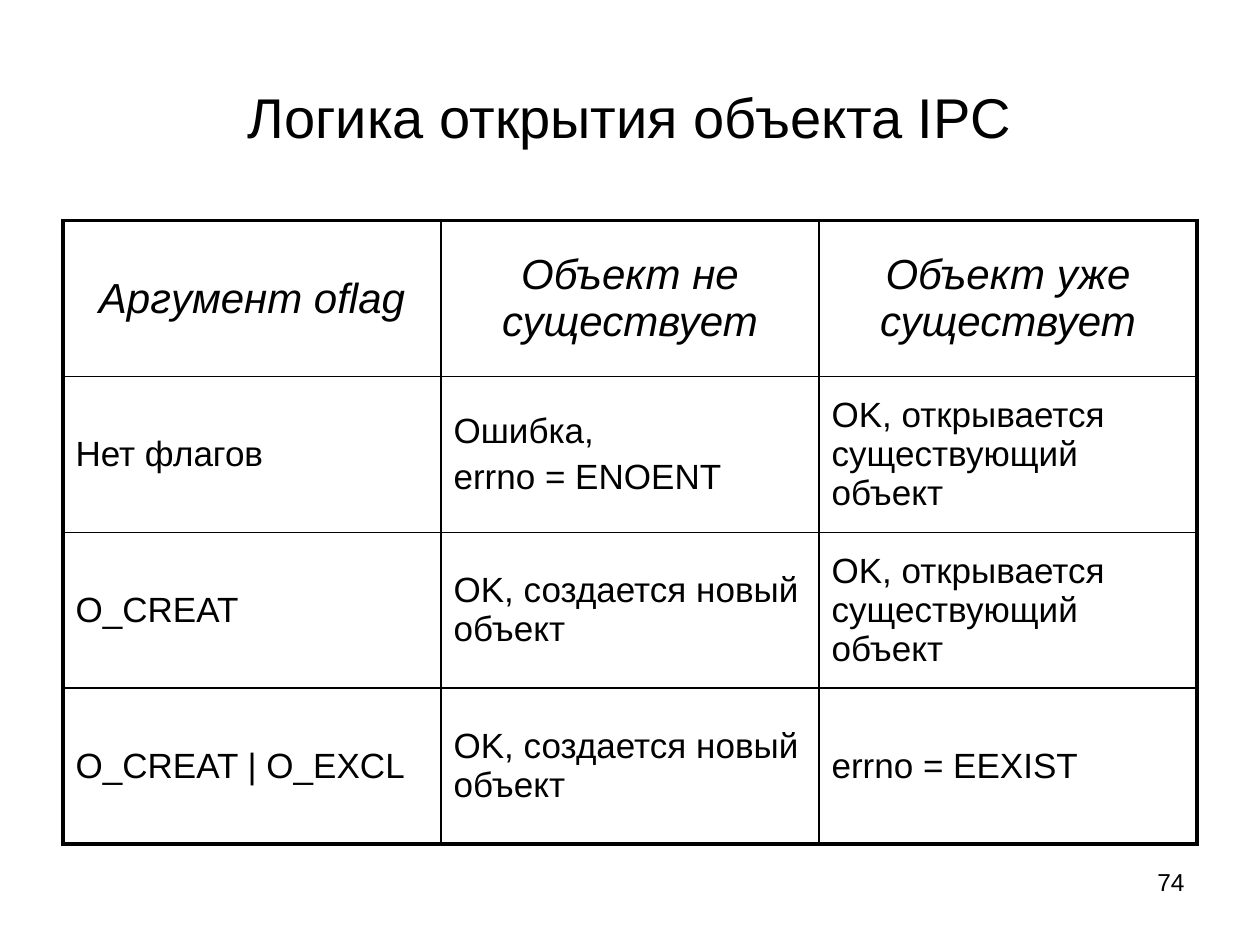
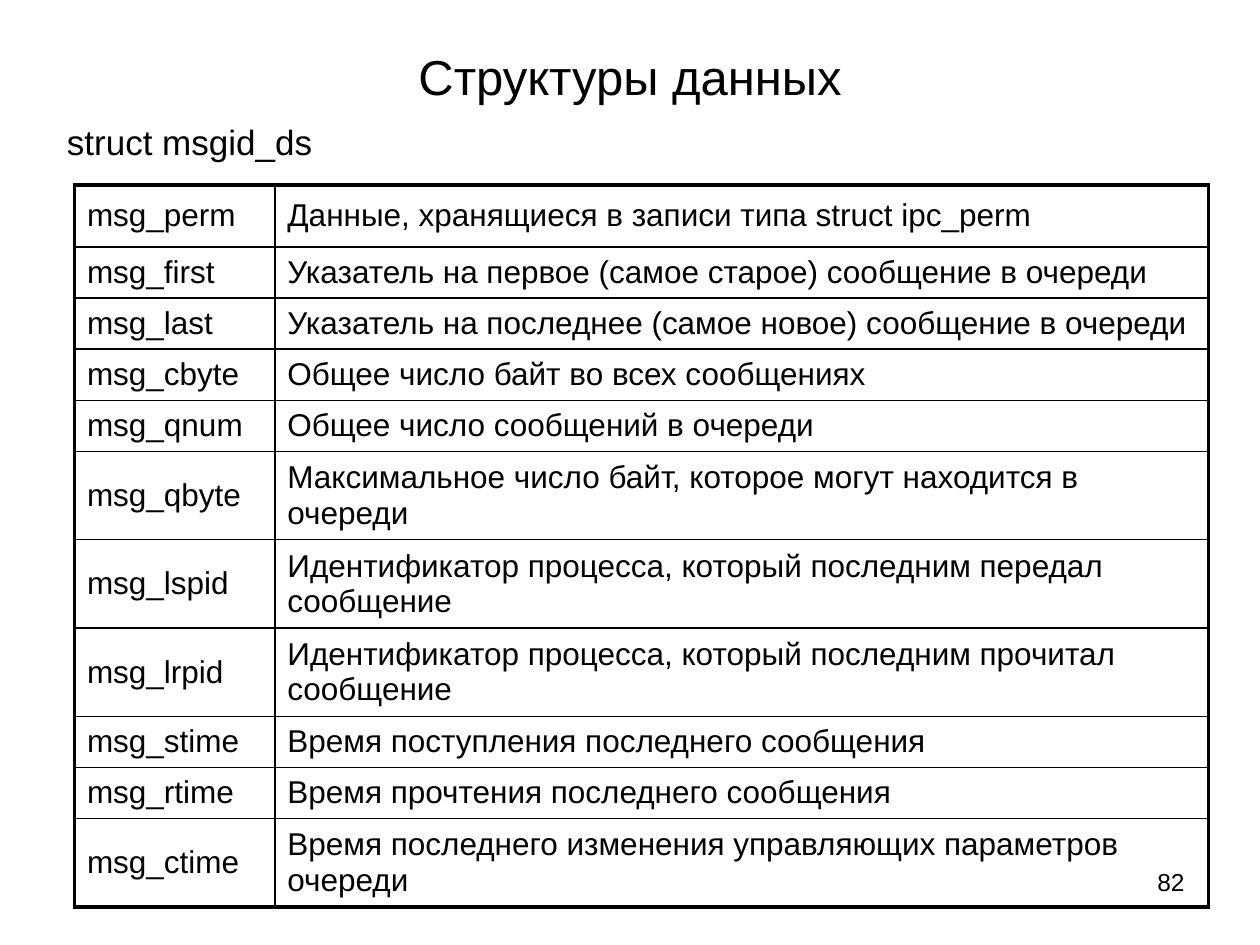
import pptx
import pptx.util
import pptx.dml.color
import pptx.enum.text
import pptx.oxml
import pptx.oxml.ns

Cm, Pt = pptx.util.Cm, pptx.util.Pt
ALIGN = pptx.enum.text.PP_ALIGN
MIDDLE = pptx.enum.text.MSO_ANCHOR.MIDDLE
BLACK = pptx.dml.color.RGBColor(0, 0, 0)
FONT = "Arial"
WIDE = Cm(22.86)
THIN, THICK = Pt(1), Pt(2.25)


def put(frame, text, size, align=ALIGN.LEFT, italic=False):
    """Fill a text frame and format all its paragraphs."""
    frame.text = text
    frame.word_wrap = True
    for num, para in enumerate(frame.paragraphs):
        para.alignment = align
        if num:
            para.space_before = Pt(size * 0.2)
        for run in para.runs:
            run.font.name = FONT
            run.font.size = Pt(size)
            run.font.italic = italic
            run.font.color.rgb = BLACK


def rule(cell, side, width):
    """Draw one border of a table cell."""
    cell._tc.get_or_add_tcPr().append(pptx.oxml.parse_xml(
        f'<a:ln{side} {pptx.oxml.ns.nsdecls("a")} w="{width}">'
        f'<a:solidFill><a:srgbClr val="{BLACK}"/></a:solidFill></a:ln{side}>'))


NEW = "OK, создается новый объект"
OLD = "OK, открывается существующий объект"
FLAGS = [
    ("Аргумент oflag", "Объект не существует", "Объект уже существует"),
    ("Нет флагов", "Ошибка,\nerrno = ENOENT", OLD),
    ("O_CREAT", NEW, OLD),
    ("O_CREAT | O_EXCL", NEW, "errno = EEXIST"),
]
FIELDS = [
    ("msg_perm", "Данные, хранящиеся в записи типа struct ipc_perm"),
    ("msg_first", "Указатель на первое (самое старое) сообщение в очереди"),
    ("msg_last", "Указатель на последнее (самое новое) сообщение в очереди"),
    ("msg_cbyte", "Общее число байт во всех сообщениях"),
    ("msg_qnum", "Общее число сообщений в очереди"),
    ("msg_qbyte", "Максимальное число байт, которое могут находится в очереди"),
    ("msg_lspid", "Идентификатор процесса, который последним передал сообщение"),
    ("msg_lrpid", "Идентификатор процесса, который последним прочитал сообщение"),
    ("msg_stime", "Время поступления последнего сообщения"),
    ("msg_rtime", "Время прочтения последнего сообщения"),
    ("msg_ctime", "Время последнего изменения управляющих параметров очереди"),
]
ONE, TWO = 1.03, 1.78  # row heights for one and two lines of text
SLIDES = [
    dict(page="74", title="Логика открытия объекта IPC", size=32, high=3.18,
         left=1.27, top=4.45, cols=[7.62] * 3, rows=[3.14] * 4,
         cells=FLAGS, head=True, body=20),
    dict(page="82", title="Структуры данных", size=28, high=1.55,
         left=1.5, top=3.73, cols=[4.04, 18.82],
         rows=[1.25] + [ONE] * 4 + [TWO] * 3 + [ONE] * 2 + [TWO],
         cells=FIELDS, head=False, body=18, label="struct msgid_ds"),
]

deck = pptx.Presentation()
deck.slide_width, deck.slide_height = Cm(25.4), Cm(19.05)

for data in SLIDES:
    slide = deck.slides.add_slide(deck.slide_layouts[5])

    title = slide.shapes.title
    title.left, title.top = Cm(1.27), Cm(0.76)
    title.width, title.height = WIDE, Cm(data["high"])
    put(title.text_frame, data["title"], data["size"], ALIGN.CENTER)
    title.text_frame.vertical_anchor = MIDDLE

    page = slide.shapes.add_textbox(Cm(18.2), Cm(17.35), Cm(5.93), Cm(1.32))
    put(page.text_frame, data["page"], 14, ALIGN.RIGHT)

    if "label" in data:
        label = slide.shapes.add_textbox(Cm(1.1), Cm(2.31), Cm(6.2), Cm(1.1))
        put(label.text_frame, data["label"], 20)

    cols, rows = data["cols"], data["rows"]
    frame = slide.shapes.add_table(len(rows), len(cols), Cm(data["left"]),
                                   Cm(data["top"]), WIDE, Cm(sum(rows)))
    table = frame.table
    table.first_row = table.horz_banding = False
    for col, width in zip(table.columns, cols):
        col.width = Cm(width)
    for row, high in zip(table.rows, rows):
        row.height = Cm(high)

    for y, line in enumerate(data["cells"]):
        for x, text in enumerate(line):
            cell = table.cell(y, x)
            if data["head"] and y == 0:
                put(cell.text_frame, text, 24, ALIGN.CENTER, True)
            else:
                put(cell.text_frame, text, data["body"])
            cell.vertical_anchor = MIDDLE
            edges = {"L": x == 0, "R": x == len(cols) - 1,
                     "T": y == 0, "B": y == len(rows) - 1}
            for side, outer in edges.items():
                rule(cell, side, THICK if outer else THIN)
            cell.fill.background()

deck.save("out.pptx")
